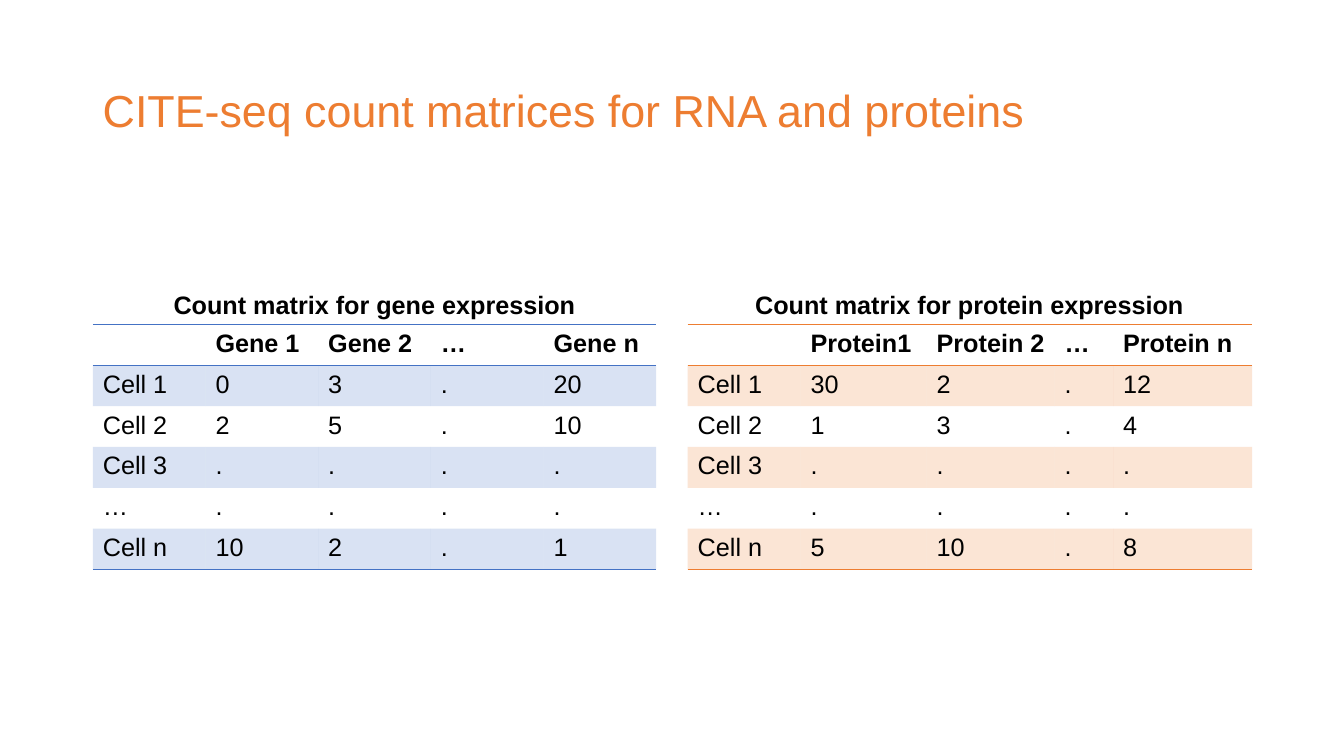
import dataclasses

import pptx
import pptx.dml.color
import pptx.enum.text
import pptx.oxml
import pptx.oxml.ns
import pptx.util
from pptx.util import Inches


@dataclasses.dataclass(frozen=True)
class Theme:
    font: str = "Arial"
    text: str = "000000"
    gene: str = "4472C4"
    protein: str = "ED7D31"
    title_size: int = 32
    body_size: int = 18
    rule_width: int = 1
    band_alpha: int = 20


THEME = Theme()
TABLE_TOP = 3.22
TABLE_WIDTH = 5.59
TABLE_HEIGHT = 2.43
CAPTION_HEIGHT = 0.4

GENE_COUNTS = [
    ["", "Gene 1", "Gene 2", "…", "Gene n"],
    ["Cell 1", "0", "3", ".", "20"],
    ["Cell 2", "2", "5", ".", "10"],
    ["Cell 3", ".", ".", ".", "."],
    ["…", ".", ".", ".", "."],
    ["Cell n", "10", "2", ".", "1"],
]
PROTEIN_COUNTS = [
    ["", "Protein1", "Protein 2", "…", "Protein n"],
    ["Cell 1", "30", "2", ".", "12"],
    ["Cell 2", "1", "3", ".", "4"],
    ["Cell 3", ".", ".", ".", "."],
    ["…", ".", ".", ".", "."],
    ["Cell n", "5", "10", ".", "8"],
]


def write(p, text, size, color=THEME.text, bold=False):
    r = p.add_run()
    r.text = text
    formats = {"name": THEME.font, "size": pptx.util.Pt(size), "bold": bold}
    for name, value in formats.items():
        setattr(r.font, name, value)
    r.font.color.rgb = pptx.dml.color.RGBColor.from_string(color)


def add_text(s, box, text, size, wrap=True, **style):
    sp = s.shapes.add_textbox(*map(Inches, box))
    tf = sp.text_frame
    formats = {
        "word_wrap": wrap,
        "vertical_anchor": pptx.enum.text.MSO_ANCHOR.MIDDLE,
    }
    for name, value in formats.items():
        setattr(tf, name, value)
    write(tf.paragraphs[0], text, size, **style)
    return tf.paragraphs[0]


def set_borders(cell, color, ruled_sides):
    tc_pr = cell._tc.get_or_add_tcPr()
    width = pptx.util.Pt(THEME.rule_width)
    for i, side in enumerate("LRTB"):
        paint = "<a:noFill/>"
        if side in ruled_sides:
            paint = f'<a:solidFill><a:srgbClr val="{color}"/></a:solidFill>'
        line = pptx.oxml.parse_xml(
            f'<a:ln{side} {pptx.oxml.ns.nsdecls("a")} w="{width}">{paint}</a:ln{side}>'
        )
        tc_pr.insert(i, line)


def fill_band(cell, color):
    cell.fill.solid()
    cell.fill.fore_color.rgb = pptx.dml.color.RGBColor.from_string(color)
    tint = cell._tc.tcPr.find(".//" + pptx.oxml.ns.qn("a:srgbClr"))
    tint.append(pptx.oxml.parse_xml(
        f'<a:alpha {pptx.oxml.ns.nsdecls("a")} val="{THEME.band_alpha * 1000}"/>'
    ))


def add_matrix(s, left, counts, widths, color):
    frame = s.shapes.add_table(
        len(counts), len(widths), Inches(left), Inches(TABLE_TOP),
        Inches(TABLE_WIDTH), Inches(TABLE_HEIGHT),
    )
    table = frame.table
    table.horz_banding = False
    for column, width in zip(table.columns, widths):
        column.width = Inches(width)
    last = len(counts) - 1
    for row, values in enumerate(counts):
        ruled_sides = ("T" if row <= 1 else "") + ("B" if row in (0, last) else "")
        for col, value in enumerate(values):
            cell = table.cell(row, col)
            if row % 2:
                fill_band(cell, color)
            else:
                cell.fill.background()
            set_borders(cell, color, ruled_sides)
            if value:
                write(cell.text_frame.paragraphs[0], value, THEME.body_size, bold=row == 0)


def add_caption(s, left, width, text):
    box = (left, TABLE_TOP - CAPTION_HEIGHT, width, CAPTION_HEIGHT)
    p = add_text(s, box, text, THEME.body_size, wrap=False, bold=True)
    p.alignment = pptx.enum.text.PP_ALIGN.CENTER


def main():
    prs = pptx.Presentation()
    prs.slide_width, prs.slide_height = Inches(13.33), Inches(7.5)
    s = prs.slides.add_slide(prs.slide_layouts[6])
    title = add_text(
        s, (0.92, 0.4, 11.5, 1.45), "CITE-seq count matrices for RNA and proteins",
        THEME.title_size, color=THEME.protein,
    )
    title.line_spacing = 0.9
    add_matrix(s, 0.92, GENE_COUNTS, [TABLE_WIDTH / 5] * 5, THEME.gene)
    add_matrix(s, 6.82, PROTEIN_COUNTS, [1.12, 1.25, 1.27, 0.58, 1.38], THEME.protein)
    add_caption(s, 1.6, 4.23, "Count matrix for gene expression")
    add_caption(s, 7.37, 4.49, "Count matrix for protein expression")
    prs.save("out.pptx")


if __name__ == "__main__":
    main()
